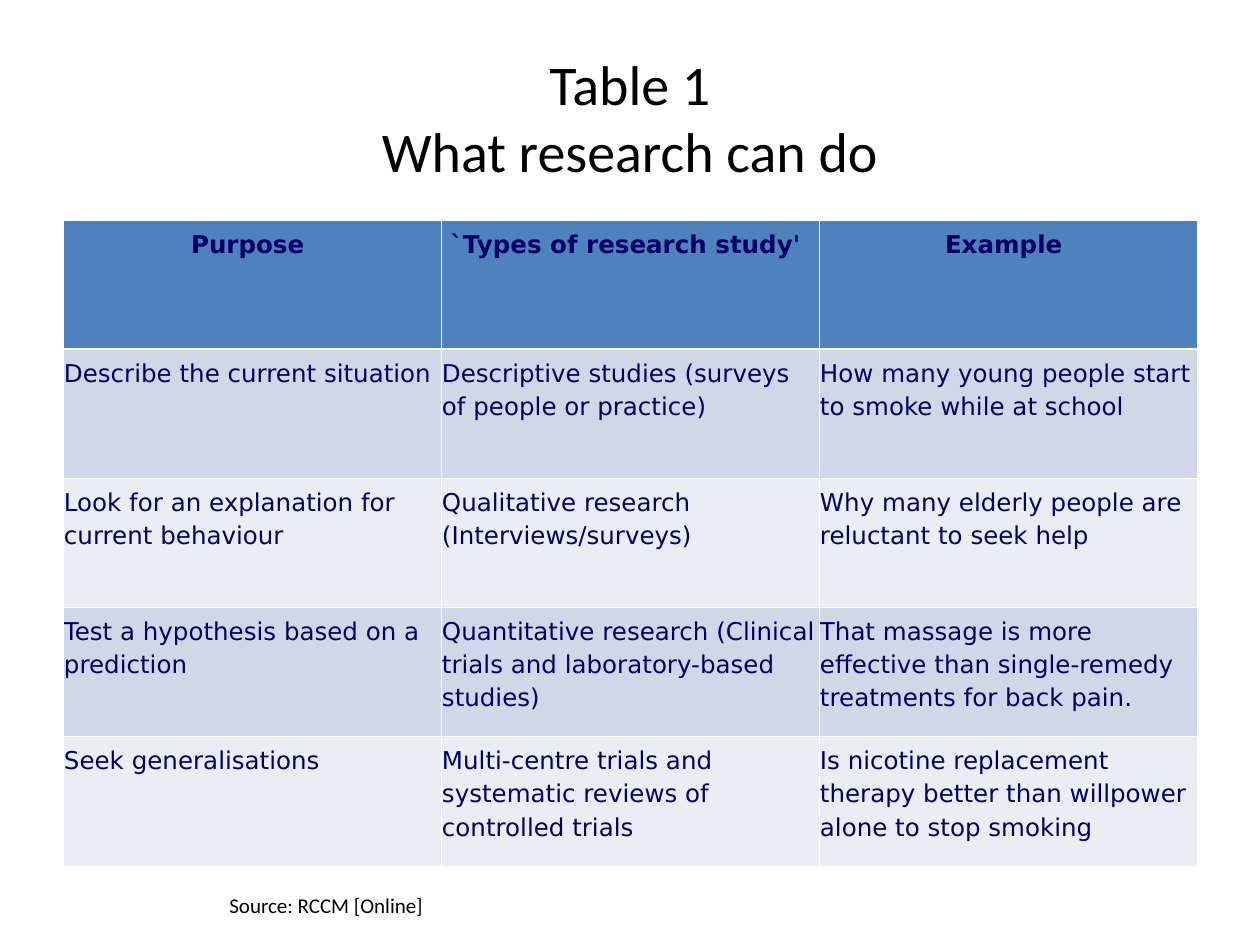
from lxml.etree import SubElement as Sub
from pptx import Presentation
from pptx.dml.color import RGBColor as Rgb
from pptx.enum.text import MSO_ANCHOR as Anchor, PP_ALIGN as Align
from pptx.oxml.ns import qn
from pptx.util import Emu, Pt

COLORS = {
    "text": "000000",
    "navy": "000066",
    "head": "4F81BD",
    "dark": "D0D8E8",
    "light": "E9EDF4",
    "rule": "FFFFFF",
}
ROWS = [
    ["Purpose ", "`Types of research study' ", "Example "],
    ["Describe the current situation",
     "Descriptive studies (surveys of people or practice)",
     "How many young people start to smoke while at school"],
    ["Look for an explanation for current behaviour",
     "Qualitative research (Interviews/surveys)",
     "Why many elderly people are reluctant to seek help"],
    ["Test a hypothesis based on a prediction",
     "Quantitative research (Clinical trials and laboratory-based studies)",
     "That massage is more effective than single-remedy treatments for back pain."],
    ["Seek generalisations",
     "Multi-centre trials and systematic reviews of controlled trials",
     "Is nicotine replacement therapy better than willpower alone to stop smoking"],
]


def px(count):
    return Emu(round(count * 914400 / 126))


class Page:
    """Holds the style and the current slide."""
    font = "Calibri"
    cell_font = "DejaVu Sans"
    thin, thick = 0.45, 1.47

    def __init__(self, deck):
        self.slide = deck.slides.add_slide(deck.slide_layouts[5])

    def style(self, para, size, color, font, bold=False):
        for run in para.runs:
            run.font.size = Pt(size)
            run.font.name = font
            run.font.bold = bold
            run.font.color.rgb = Rgb.from_string(COLORS[color])

    def title(self, text, x, y, w, h):
        shape = self.slide.shapes.title
        shape.left, shape.top, shape.width, shape.height = map(px, (x, y, w, h))
        frame = shape.text_frame
        frame.text = text
        frame.vertical_anchor = Anchor.MIDDLE
        para = frame.paragraphs[0]
        para.alignment = Align.CENTER
        self.style(para, 32, "text", self.font)

    def note(self, text, x, y, w, h):
        frame = self.slide.shapes.add_textbox(*map(px, (x, y, w, h))).text_frame
        frame.word_wrap = True
        frame.text = text
        self.style(frame.paragraphs[0], 12, "text", self.font)

    def edges(self, cell, **widths):
        """Draw cell borders; the keys are L, R, T and B, in that order."""
        props = cell._tc.get_or_add_tcPr()
        for side, width in widths.items():
            line = Sub(props, qn(f"a:ln{side}"), w=str(Pt(width)))
            fill = Sub(line, qn("a:solidFill"))
            Sub(fill, qn("a:srgbClr"), val=COLORS["rule"])

    def cell(self, cell, text, row):
        head = row == 0
        self.edges(cell, L=self.thin, R=self.thin,
                   T=self.thick if row == 1 else self.thin,
                   B=self.thick if head else self.thin)
        shade = "head" if head else "dark" if row % 2 else "light"
        cell.fill.solid()
        cell.fill.fore_color.rgb = Rgb.from_string(COLORS[shade])
        cell.margin_left = cell.margin_right = px(1)
        cell.margin_top = cell.margin_bottom = px(6)
        cell.text_frame.text = text
        para = cell.text_frame.paragraphs[0]
        para.alignment = Align.CENTER if head else Align.LEFT
        para.line_spacing = 1.15
        para.space_after = Pt(0 if head else 10)
        self.style(para, 14, "navy", self.cell_font, head)

    def table(self, rows, x, y, w, h):
        grid = self.slide.shapes.add_table(
            len(rows), len(rows[0]), *map(px, (x, y, w, h))).table
        for r, texts in enumerate(rows):
            for c, text in enumerate(texts):
                self.cell(grid.cell(r, c), text, r)


def main():
    deck = Presentation()
    deck.slide_width, deck.slide_height = px(1260), px(945)
    page = Page(deck)
    page.title("Table 1\vWhat research can do", 63, 38, 1134, 158)
    page.table(ROWS, 63, 220, 1134, 646)
    page.note("Source: RCCM [Online]", 217, 886, 826, 38)
    deck.save("out.pptx")


if __name__ == "__main__":
    main()
